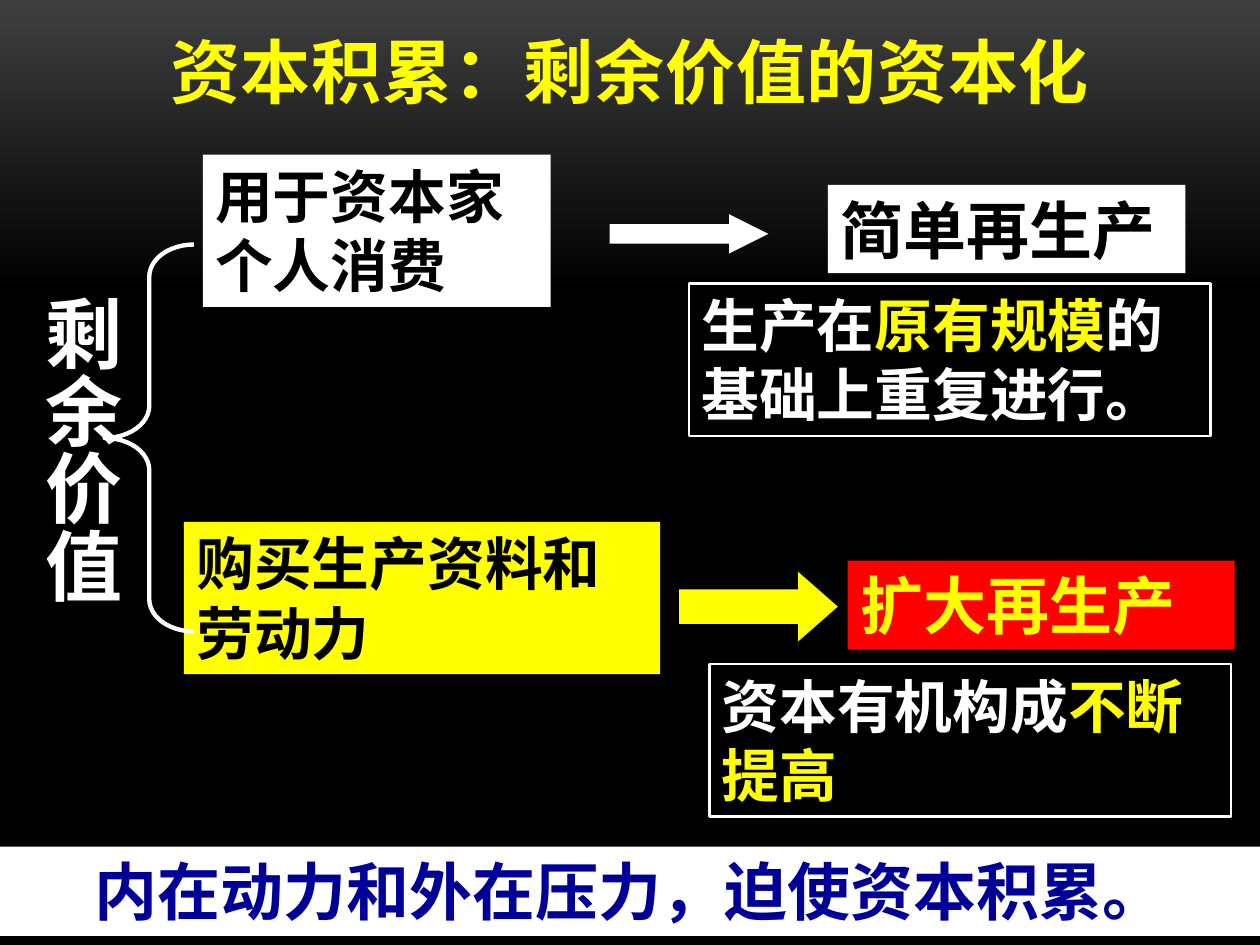
from dataclasses import dataclass

from pptx import Presentation, util as u
from pptx.dml.color import RGBColor
from pptx.enum import shapes, text
from pptx.oxml.ns import qn

Kind = shapes.MSO_SHAPE
Mid = text.PP_ALIGN.CENTER


@dataclass(frozen=True)
class Theme:
    # Colours
    white: str = "FFFFFF"
    black: str = "000000"
    grey: str = "3F3F3F"
    gold: str = "FFFF00"
    red: str = "FF0000"
    navy: str = "000099"
    # Type
    face: str = "Noto Sans CJK SC"
    head: str = "Quicksand"
    title: int = 40
    side: int = 44
    term: int = 36
    body: int = 33


class Deck:
    """Holds the style and the current slide."""

    def __init__(self, theme):
        self.theme = theme
        self.prs = Presentation()
        self.prs.slide_width, self.prs.slide_height = u.Cm(25.4), u.Cm(19.05)
        self.slide = self.prs.slides.add_slide(self.prs.slide_layouts[5])

    def ground(self):
        fill = self.slide.background.fill
        fill.gradient()
        fill.gradient_angle = 270
        looks = ((0, self.theme.grey), (0.31, self.theme.black))
        for stop, (pos, tone) in zip(fill.gradient_stops, looks):
            stop.position = pos
            stop.color.rgb = RGBColor.from_string(tone)

    def label(self, frame, runs, size, align=None, face=None):
        frame.word_wrap = True
        para = frame.paragraphs[0]
        para.alignment = align or text.PP_ALIGN.LEFT
        para.space_before = u.Pt(0)
        for words, tone in runs:
            run = para.add_run()
            run.text = words
            font = run.font
            font.size, font.bold = u.Pt(size), True
            font.color.rgb = RGBColor.from_string(tone)
            font.name = face or self.theme.face
            # East Asian typeface
            props = run._r.get_or_add_rPr()
            east = props.makeelement(qn("a:ea"), {"typeface": self.theme.face})
            props.find(qn("a:latin")).addnext(east)

    def title(self, words, *area):
        shape = self.slide.shapes.title
        shape.left, shape.top, shape.width, shape.height = map(u.Cm, area)
        frame = shape.text_frame
        frame.auto_size = text.MSO_AUTO_SIZE.NONE
        frame.vertical_anchor = text.MSO_ANCHOR.BOTTOM
        style = self.theme
        self.label(frame, [(words, style.gold)], style.title, Mid, style.head)
        frame.paragraphs[0].runs[0]._r.get_or_add_rPr().set("spc", "50")

    def column(self, words, *area):
        box = self.slide.shapes.add_textbox(*map(u.Cm, area))
        frame = box.text_frame
        self.label(frame, [(words, self.theme.white)], self.theme.side)
        frame._txBody.bodyPr.set("vert", "eaVert")

    def shape(self, kind, *area, fill=None, line=None, width=1.5, adj=()):
        shape = self.slide.shapes.add_shape(kind, *map(u.Cm, area))
        shape.shadow.inherit = False
        for tone, paint in ((fill, shape.fill), (line, shape.line.fill)):
            if tone:
                paint.solid()
                paint.fore_color.rgb = RGBColor.from_string(tone)
            else:
                paint.background()
        if line:
            shape.line.width = u.Pt(width)
        for spot, value in enumerate(adj):
            shape.adjustments[spot] = value
        return shape

    def box(self, runs, size, *area, align=None, **look):
        frame = self.shape(Kind.RECTANGLE, *area, **look).text_frame
        frame.vertical_anchor = text.MSO_ANCHOR.TOP
        self.label(frame, runs, size, align)

    def arrow(self, left, top, high, tone, tip):
        self.shape(Kind.RIGHT_ARROW, left, top, 3.2, high, fill=tone, adj=(0.5, tip))

    def note(self, left, top, *runs):
        self.box(runs, self.theme.body, left, top, 10.52, 3.07, line=self.theme.white)


def main():
    t = Theme()
    deck = Deck(t)
    deck.ground()
    deck.title("资本积累：剩余价值的资本化", 1.27, 0.33, 22.86, 2.06)

    # Surplus value and its two uses
    deck.column("剩余价值", 0.3, 5.72, 2.39, 7.8)
    deck.box([("用于资本家个人消费", t.black)], t.body,
             4.09, 3.12, 7.01, 3.07, fill=t.white)
    deck.box([("购买生产资料和劳动力", t.black)], t.body,
             3.71, 10.52, 9.6, 3.07, fill=t.gold)
    deck.shape(Kind.LEFT_BRACE, 2.11, 4.93, 1.8, 7.8,
               line=t.white, width=2.5, adj=(0.36, 0.5))

    # Simple reproduction
    deck.box([("简单再生产", t.black)], t.term,
             16.69, 3.73, 7.21, 1.78, fill=t.white)
    deck.arrow(12.29, 4.32, 0.79, t.white, 1)
    deck.note(13.89, 5.72, ("生产在", t.white), ("原有规模", t.gold),
              ("的基础上重复进行。", t.white))

    # Closing line
    deck.box([("内在动力和外在压力，迫使资本积累。", t.navy)], t.term,
             0, 17.07, 25.4, 1.8, align=Mid, fill=t.white)

    # Expanded reproduction
    deck.box([("扩大再生产", t.gold)], t.term,
             17.09, 11.3, 7.8, 1.78, fill=t.red)
    deck.arrow(13.69, 11.53, 1.4, t.gold, 0.57)
    deck.note(14.3, 13.39, ("资本有机构成", t.white), ("不断提高", t.gold))

    deck.prs.save("out.pptx")


if __name__ == "__main__":
    main()
